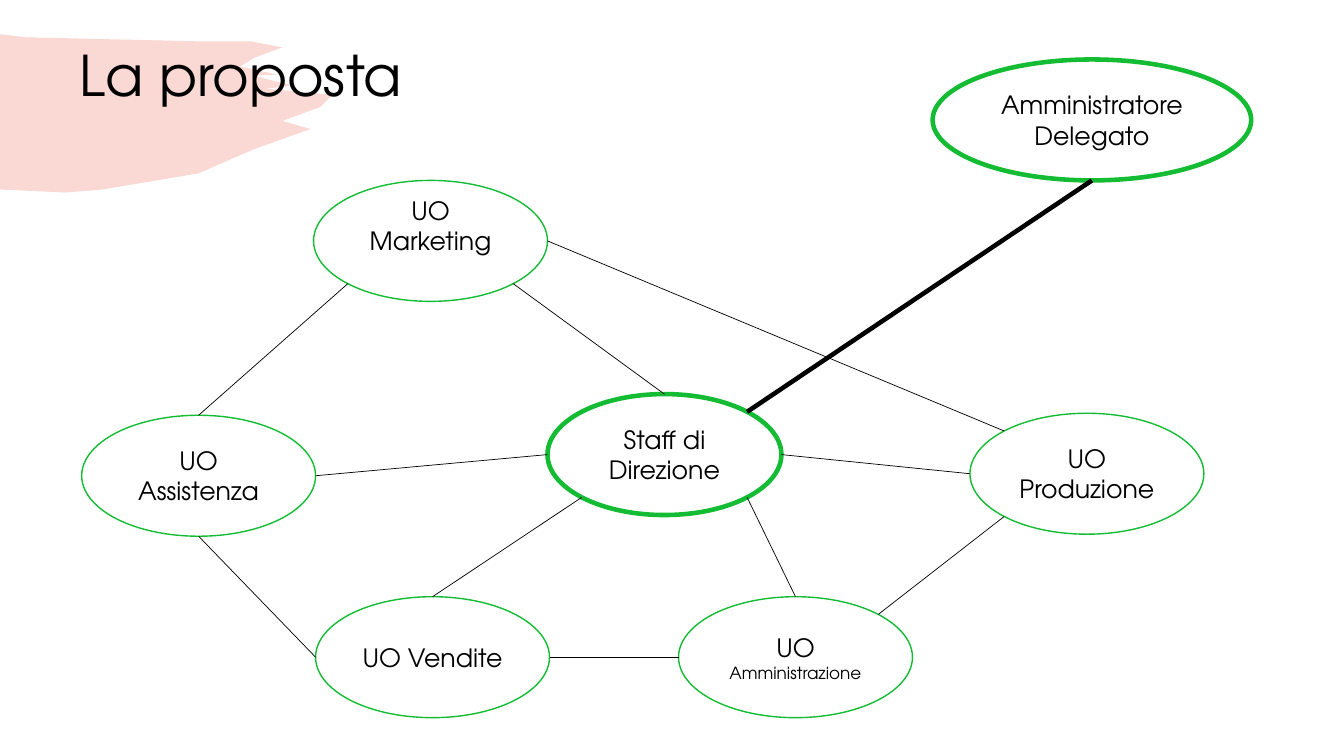
"""Builds the organisation proposal slide: staff and operating units as a network."""
from math import cos, pi, sin

from lxml.etree import SubElement
from pptx import Presentation
from pptx.dml.color import RGBColor
from pptx.enum.shapes import MSO_CONNECTOR, MSO_SHAPE
from pptx.enum.text import MSO_ANCHOR, MSO_AUTO_SIZE, PP_ALIGN
from pptx.oxml.ns import qn
from pptx.util import Inches, Pt

BLACK = RGBColor(0x00, 0x00, 0x00)
WHITE = RGBColor(0xFF, 0xFF, 0xFF)
GREEN = RGBColor(0x14, 0xBC, 0x33)
RED = RGBColor(0xE7, 0x3C, 0x29)
FONT = "TeX Gyre Adventor"
THIN, MEDIUM, THICK = 0.5, 1, 3.25
UNIT_WIDTH, CHIEF_WIDTH, NODE_HEIGHT = 2.32, 3.16, 1.2
BODY, SMALL = 18, 12
LOWER_ROW = 5.92
TOP, TOP_LEFT, LEFT, BOTTOM_LEFT, BOTTOM, BOTTOM_RIGHT, RIGHT, TOP_RIGHT = range(8)

BRUSH_OUTLINE = [
    (0, 0.34), (0.25, 0.37), (1.94, 0.41), (2.48, 0.41), (2.8, 0.47), (2.53, 0.57),
    (2.38, 0.66), (2.75, 0.74), (2.51, 0.75), (2.9, 0.85), (2.63, 0.88), (3.3, 0.94),
    (3.18, 1.06), (2.8, 1.2), (3.08, 1.28), (2.52, 1.48), (1.97, 1.72), (1.02, 1.88),
    (0.65, 1.91), (0, 1.88),
]

UNITS = {
    "assistenza": (0.81, 4.12, UNIT_WIDTH, MEDIUM, [("UO Assistenza", BODY)]),
    "vendite": (3.13, LOWER_ROW, UNIT_WIDTH, MEDIUM, [("UO Vendite", BODY)]),
    "amministrazione": (6.73, LOWER_ROW, UNIT_WIDTH, MEDIUM,
                        [("UO ", BODY), ("Amministrazione", SMALL)]),
    "produzione": (9.62, 4.1, UNIT_WIDTH, MEDIUM, [("UO Produzione", BODY)]),
    "marketing": (3.11, 1.79, UNIT_WIDTH, MEDIUM, [("UO Marketing", BODY)]),
    "staff": (5.43, 3.91, UNIT_WIDTH, THICK, [("Staff di Direzione", BODY)]),
    "delegato": (9.25, 0.59, CHIEF_WIDTH, THICK, [("Amministratore Delegato", BODY)]),
}

LINKS = [
    ("marketing", BOTTOM_LEFT, "assistenza", TOP, THIN),
    ("assistenza", BOTTOM, "vendite", LEFT, THIN),
    ("amministrazione", LEFT, "vendite", RIGHT, THIN),
    ("marketing", BOTTOM_RIGHT, "staff", TOP, THIN),
    ("staff", LEFT, "assistenza", RIGHT, THIN),
    ("staff", BOTTOM_LEFT, "vendite", TOP, THIN),
    ("produzione", BOTTOM_LEFT, "amministrazione", TOP_RIGHT, THIN),
    ("delegato", BOTTOM, "staff", TOP_RIGHT, THICK),
    ("produzione", TOP_LEFT, "marketing", RIGHT, THIN),
    ("staff", BOTTOM_RIGHT, "amministrazione", TOP, THIN),
    ("produzione", LEFT, "staff", RIGHT, THIN),
]


def add_run(paragraph, text, size):
    run = paragraph.add_run()
    run.text = text
    run.font.name = FONT
    run.font.size = Pt(size)
    run.font.color.rgb = BLACK


def rim_point(ellipse, site):
    angle = pi / 2 + site * pi / 4
    x = ellipse.left + ellipse.width / 2 * (1 + cos(angle))
    y = ellipse.top + ellipse.height / 2 * (1 - sin(angle))
    return round(x), round(y)


deck = Presentation()
deck.slide_width, deck.slide_height = Inches(13.33), Inches(7.5)
slide = deck.slides.add_slide(deck.slide_layouts[5])

corners = [(Inches(x), Inches(y)) for x, y in BRUSH_OUTLINE]
builder = slide.shapes.build_freeform(*corners[0])
builder.add_line_segments(corners[1:], close=True)
brush = builder.convert_to_shape()
brush.shadow.inherit = False
brush.fill.solid()
brush.fill.fore_color.rgb = RED
brush.line.fill.background()
brush_color = brush._element.spPr.find(qn("a:solidFill")).find(qn("a:srgbClr"))
SubElement(brush_color, qn("a:alpha")).set("val", "20000")
slide.shapes._spTree.insert(2, brush._element)

title = slide.shapes.title
title.left, title.top, title.width, title.height = map(Inches, (0.69, 0.35, 4.13, 0.77))
title.text_frame.auto_size = MSO_AUTO_SIZE.SHAPE_TO_FIT_TEXT
title.text_frame.vertical_anchor = MSO_ANCHOR.TOP
title.text_frame.paragraphs[0].alignment = PP_ALIGN.LEFT
add_run(title.text_frame.paragraphs[0], "La proposta", 40)

ellipses = {}
for unit, (left, top, width, border, runs) in UNITS.items():
    ellipse = slide.shapes.add_shape(
        MSO_SHAPE.OVAL, Inches(left), Inches(top), Inches(width), Inches(NODE_HEIGHT))
    ellipse.shadow.inherit = False
    ellipse.fill.solid()
    ellipse.fill.fore_color.rgb = WHITE
    ellipse.line.color.rgb = GREEN
    ellipse.line.width = Pt(border)
    label = ellipse.text_frame
    label.word_wrap = True
    label.vertical_anchor = MSO_ANCHOR.MIDDLE
    label.paragraphs[0].alignment = PP_ALIGN.CENTER
    for text, size in runs:
        add_run(label.paragraphs[0], text, size)
    ellipses[unit] = ellipse

marketing_label = ellipses["marketing"].text_frame
marketing_label.margin_top, marketing_label.margin_bottom = 0, Inches(0.3)

for source, source_site, target, target_site, weight in LINKS:
    link = slide.shapes.add_connector(
        MSO_CONNECTOR.STRAIGHT,
        *rim_point(ellipses[source], source_site),
        *rim_point(ellipses[target], target_site))
    link.line.color.rgb = BLACK
    link.line.width = Pt(weight)
    SubElement(link._element.spPr, qn("a:effectLst"))

deck.save("out.pptx")
